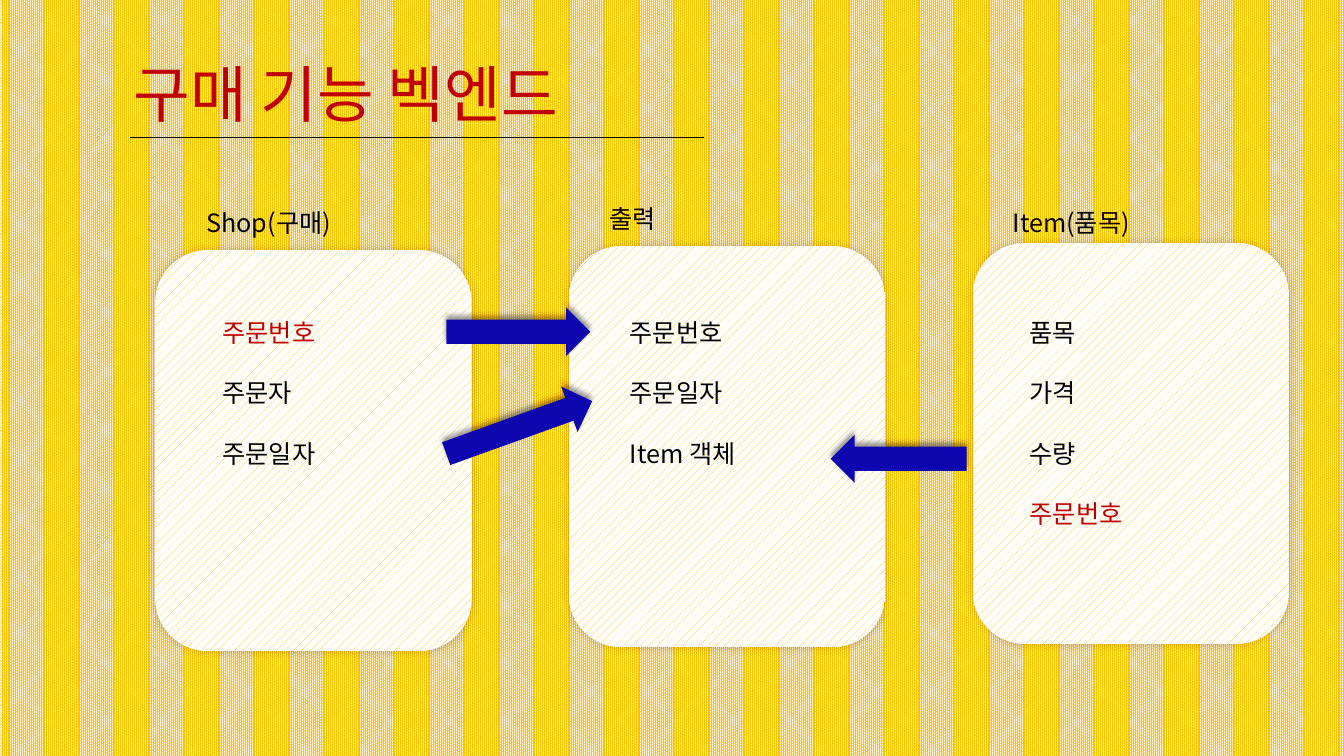
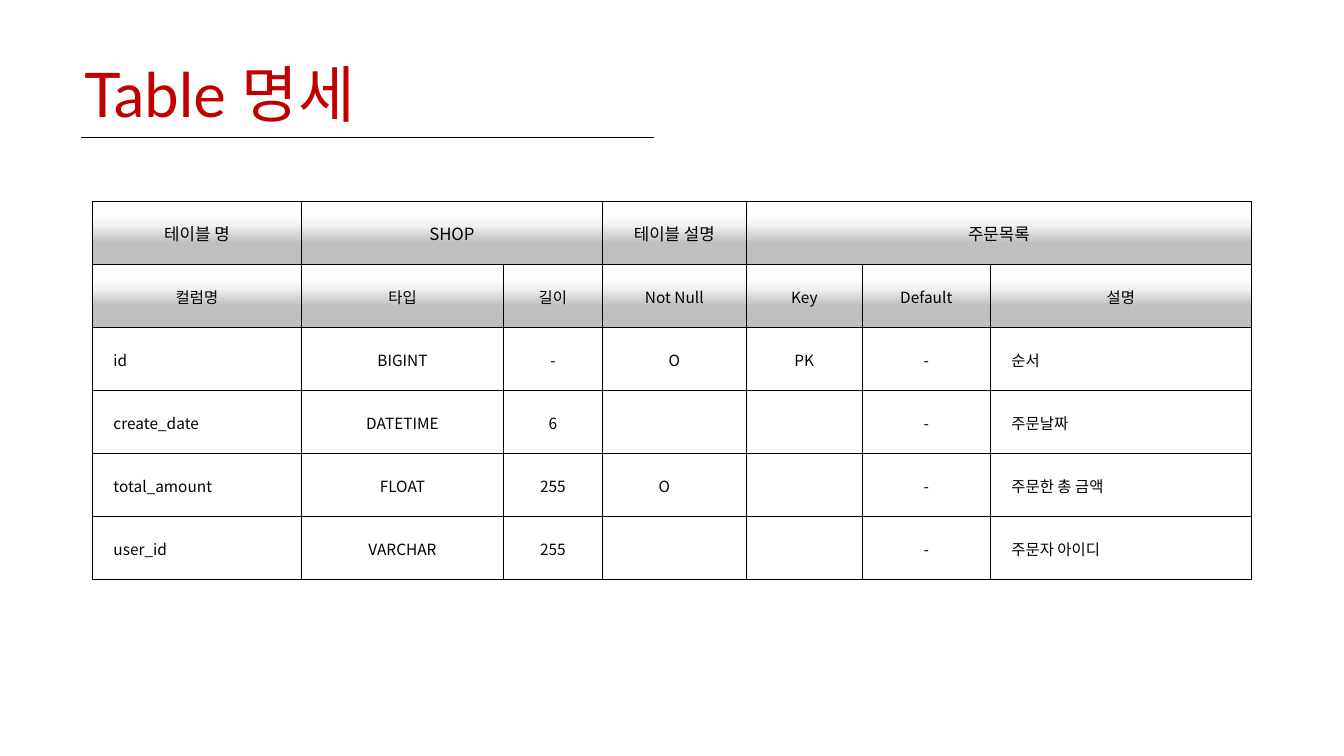
from lxml import etree
from pptx import Presentation
from pptx.dml.color import RGBColor
from pptx.enum.dml import MSO_PATTERN
from pptx.enum.shapes import MSO_CONNECTOR, MSO_SHAPE
from pptx.enum.text import MSO_ANCHOR, PP_ALIGN
from pptx.oxml.ns import qn
from pptx.util import Cm, Pt

COLORS = {"ink": "000000", "accent": "C00000", "gold": "FFC000", "white": "FFFFFF",
          "arrow": "0E06AE", "pale": "F2F2F2", "grey": "BFBFBF"}
BODY_FONT = "Noto Sans CJK KR"
STRAIGHT = MSO_CONNECTOR.STRAIGHT
ROUNDED, RIGHT_ARROW = MSO_SHAPE.ROUNDED_RECTANGLE, MSO_SHAPE.RIGHT_ARROW
DENSE, SPARSE = MSO_PATTERN.PERCENT_90, MSO_PATTERN.PERCENT_20
TOP, MIDDLE, BOTTOM = MSO_ANCHOR.TOP, MSO_ANCHOR.MIDDLE, MSO_ANCHOR.BOTTOM
LEFT, CENTER = PP_ALIGN.LEFT, PP_ALIGN.CENTER

CARD_WIDTH, CARD_HEIGHT = 7.98, 10.11
# left, top, label, label offset, items, items offset; offsets start at the card corner
CARDS = [
    (24.51, 6.12, "Item(품목)", (0.76, -1.01),
     [("품목", "ink"), ("가격", "ink"), ("수량", "ink"), ("주문번호", "accent")], (1.19, 1.75)),
    (14.33, 6.2, "출력", (0.78, -1.2),
     [("주문번호", "ink"), ("주문일자", "ink"), ("Item 객체", "ink")], (1.29, 1.67)),
    (3.91, 6.3, "Shop(구매)", (1.04, -1.19),
     [("주문번호", "accent"), ("주문자", "ink"), ("주문일자", "ink")], (1.45, 1.57)),
]
# left, top, width, rotation
ARROWS = [(11.25, 7.75, 3.63, 0), (11.13, 10.16, 3.91, -19.8), (20.93, 10.95, 3.43, 180)]

COLUMN_WIDTHS = [5.27, 5.09, 2.49, 3.63, 2.92, 3.23, 6.58]
ROW_HEIGHT = 1.59
HEADER_ROWS = 2
INDENTED_COLUMNS = (0, 6)
MERGES = [(1, 2), (4, 6)]
TABLE_ROWS = [
    ["테이블 명", "SHOP", "", "테이블 설명", "주문목록", "", ""],
    ["컬럼명", "타입", "길이", "Not Null", "Key", "Default", "설명"],
    ["id", "BIGINT", "-", "O", "PK", "-", "순서"],
    ["create_date", "DATETIME", "6", "", "", "-", "주문날짜"],
    ["total_amount", "FLOAT", "255", "O", "", "-", "주문한 총 금액"],
    ["user_id", "VARCHAR", "255", "", "", "-", "주문자 아이디"],
]


def rgb(name):
    return RGBColor.from_string(COLORS[name])


def add_node(parent, tag, **attributes):
    return etree.SubElement(parent, qn(tag), {key: str(value) for key, value in attributes.items()})


def add_color(parent, name):
    return add_node(parent, "a:srgbClr", val=COLORS[name])


def set_pattern(fill, pattern):
    fill.patterned()
    fill.pattern = pattern
    fill.fore_color.rgb = rgb("gold")
    fill.back_color.rgb = rgb("white")


def set_shadow(shape, alpha, blur, distance, angle):
    shape.shadow.inherit = False
    effects = shape._element.spPr.find(qn("a:effectLst"))
    shadow = add_node(effects, "a:outerShdw", blurRad=Pt(blur), dist=Pt(distance),
                      dir=angle * 60000, algn="ctr", rotWithShape=0)
    add_node(add_color(shadow, "ink"), "a:alpha", val=alpha * 1000)


def write_para(para, text, size=18, font=BODY_FONT, color="ink", align=LEFT):
    para.alignment = align
    span = para.add_run()
    span.text = text
    span.font.size = Pt(size)
    span.font.name = font
    span.font.color.rgb = rgb(color)
    add_node(span.font._element, "a:ea", typeface=BODY_FONT)


def add_text(page, left, top, width, height, lines, anchor=TOP, line_spacing=None,
             gap=0, **style):
    """Write (text, color) lines in a text box, with gap points between them."""
    box = page.shapes.add_textbox(Cm(left), Cm(top), Cm(width), Cm(height))
    frame = box.text_frame
    frame.word_wrap = True
    frame.vertical_anchor = anchor
    for index, (text, color) in enumerate(lines):
        para = frame.add_paragraph() if index else frame.paragraphs[0]
        if line_spacing:
            para.line_spacing = line_spacing
        if index:
            para.space_before = Pt(gap)
        write_para(para, text, color=color, **style)


def add_title(page, left, text, font):
    top, height = 0.31, 3.12
    add_text(page, left, top, 29.21, height, [(text, "accent")], anchor=BOTTOM,
             line_spacing=0.9, size=44, font=font)
    start, level = left + 0.16, top + height + 0.02
    rule = page.shapes.add_connector(STRAIGHT, Cm(start), Cm(level), Cm(start + 14.45), Cm(level))
    rule.line.color.rgb = rgb("ink")
    rule.line.width = Pt(0.5)
    add_node(rule._element.spPr, "a:effectLst")


def add_card(page, left, top, label, label_offset, items, items_offset):
    card = page.shapes.add_shape(ROUNDED, Cm(left), Cm(top), Cm(CARD_WIDTH), Cm(CARD_HEIGHT))
    set_pattern(card.fill, SPARSE)
    card.line.fill.background()
    set_shadow(card, 20, 6, 0, 225)
    add_text(page, left + label_offset[0], top + label_offset[1], 4.62, 1.02, [(label, "ink")])
    add_text(page, left + items_offset[0], top + items_offset[1], 4.6, 5.6, items, gap=21.6)


def add_arrow(page, left, top, width, rotation):
    arrow = page.shapes.add_shape(RIGHT_ARROW, Cm(left), Cm(top), Cm(width), Cm(1.22))
    arrow.rotation = rotation
    arrow.fill.solid()
    arrow.fill.fore_color.rgb = rgb("arrow")
    arrow.line.fill.background()
    set_shadow(arrow, 40, 4, 3, 270)


def format_cell(cell, is_header):
    """Draw the cell borders, then its fill, which must follow them in the XML."""
    properties = cell._tc.get_or_add_tcPr()
    for side in ("a:lnL", "a:lnR", "a:lnT", "a:lnB"):
        border = add_node(properties, side, w=Pt(1))
        add_color(add_node(border, "a:solidFill"), "ink")
    if not is_header:
        cell.fill.background()
        return
    gradient = add_node(properties, "a:gradFill", rotWithShape=1)
    stops = add_node(gradient, "a:gsLst")
    for position, color in ((20, "white"), (38, "pale"), (66, "grey")):
        add_color(add_node(stops, "a:gs", pos=position * 1000), color)
    add_node(gradient, "a:lin", ang=5400000, scaled=0)


def add_spec_table(page, left, top):
    frame = page.shapes.add_table(len(TABLE_ROWS), len(COLUMN_WIDTHS), Cm(left), Cm(top),
                                  Cm(sum(COLUMN_WIDTHS)), Cm(ROW_HEIGHT * len(TABLE_ROWS)))
    table = frame.table
    table.first_row = table.horz_banding = False
    for column, width in zip(table.columns, COLUMN_WIDTHS):
        column.width = Cm(width)
    for row_index, texts in enumerate(TABLE_ROWS):
        table.rows[row_index].height = Cm(ROW_HEIGHT)
        is_header = row_index < HEADER_ROWS
        for column_index, text in enumerate(texts):
            cell = table.cell(row_index, column_index)
            cell.vertical_anchor = MIDDLE
            cell.margin_left = cell.margin_right = cell.margin_top = Cm(0.03)
            cell.margin_bottom = 0
            format_cell(cell, is_header)
            indented = not is_header and column_index in INDENTED_COLUMNS
            if indented:
                cell.margin_left = Cm(0.53)
            if text:
                write_para(cell.text_frame.paragraphs[0], text, size=11 if row_index else 12,
                           align=LEFT if indented else CENTER)
    for first, last in MERGES:
        table.cell(0, first).merge(table.cell(0, last))
    table.cell(4, 3).margin_right = Cm(0.53)


def build_flow_page(page):
    set_pattern(page.background.fill, DENSE)
    add_title(page, 3.12, "구매 기능 벡엔드", "Arial")
    for card in CARDS:
        add_card(page, *card)
    for arrow in ARROWS:
        add_arrow(page, *arrow)


def build_table_page(page):
    page.background.fill.solid()
    page.background.fill.fore_color.rgb = rgb("white")
    add_title(page, 1.88, "Table 명세", "Lato")
    add_spec_table(page, 2.33, 5.07)


def main():
    deck = Presentation()
    deck.slide_width, deck.slide_height = Cm(33.87), Cm(19.05)
    for build in (build_flow_page, build_table_page):
        build(deck.slides.add_slide(deck.slide_layouts[6]))
    deck.save("out.pptx")


if __name__ == "__main__":
    main()
